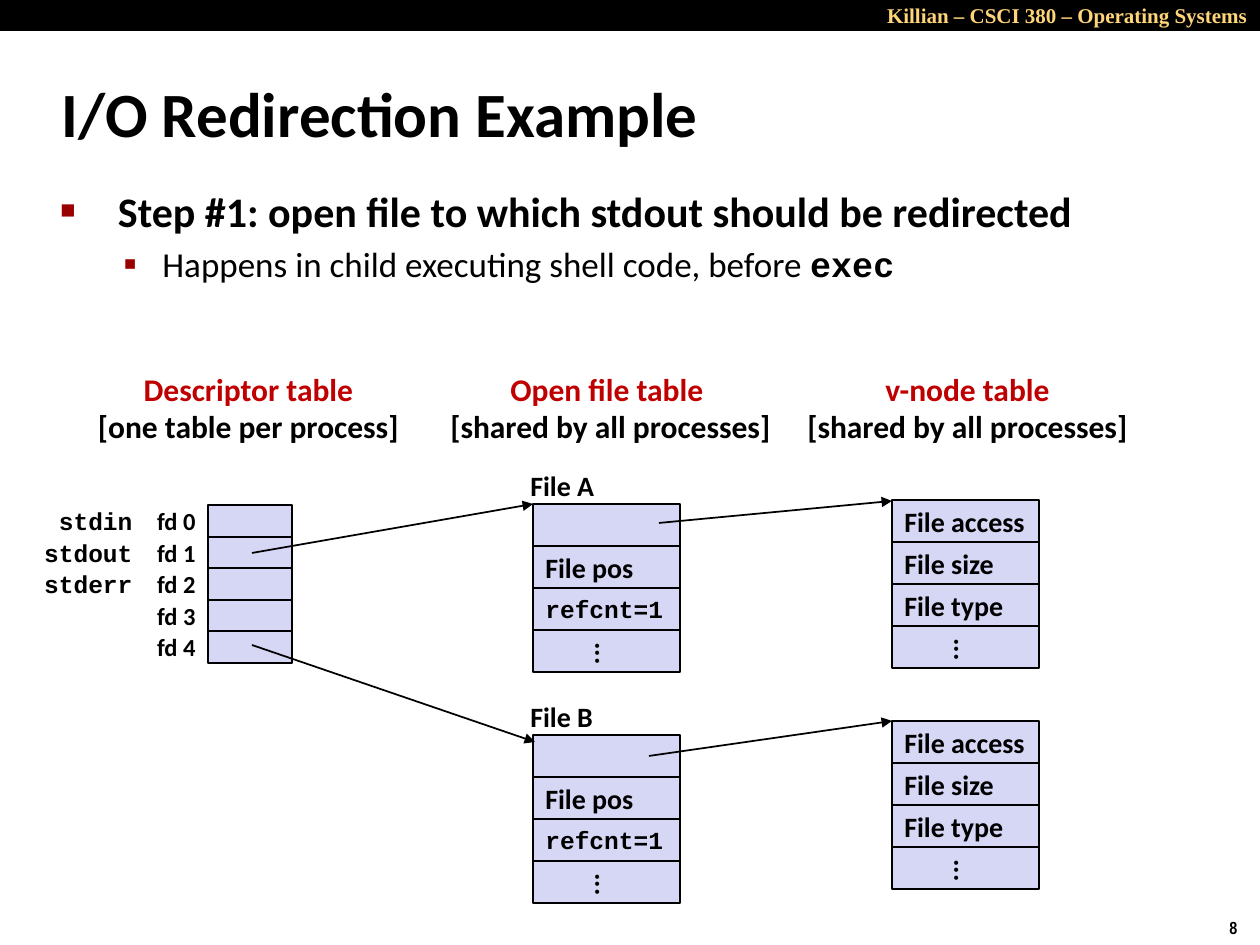
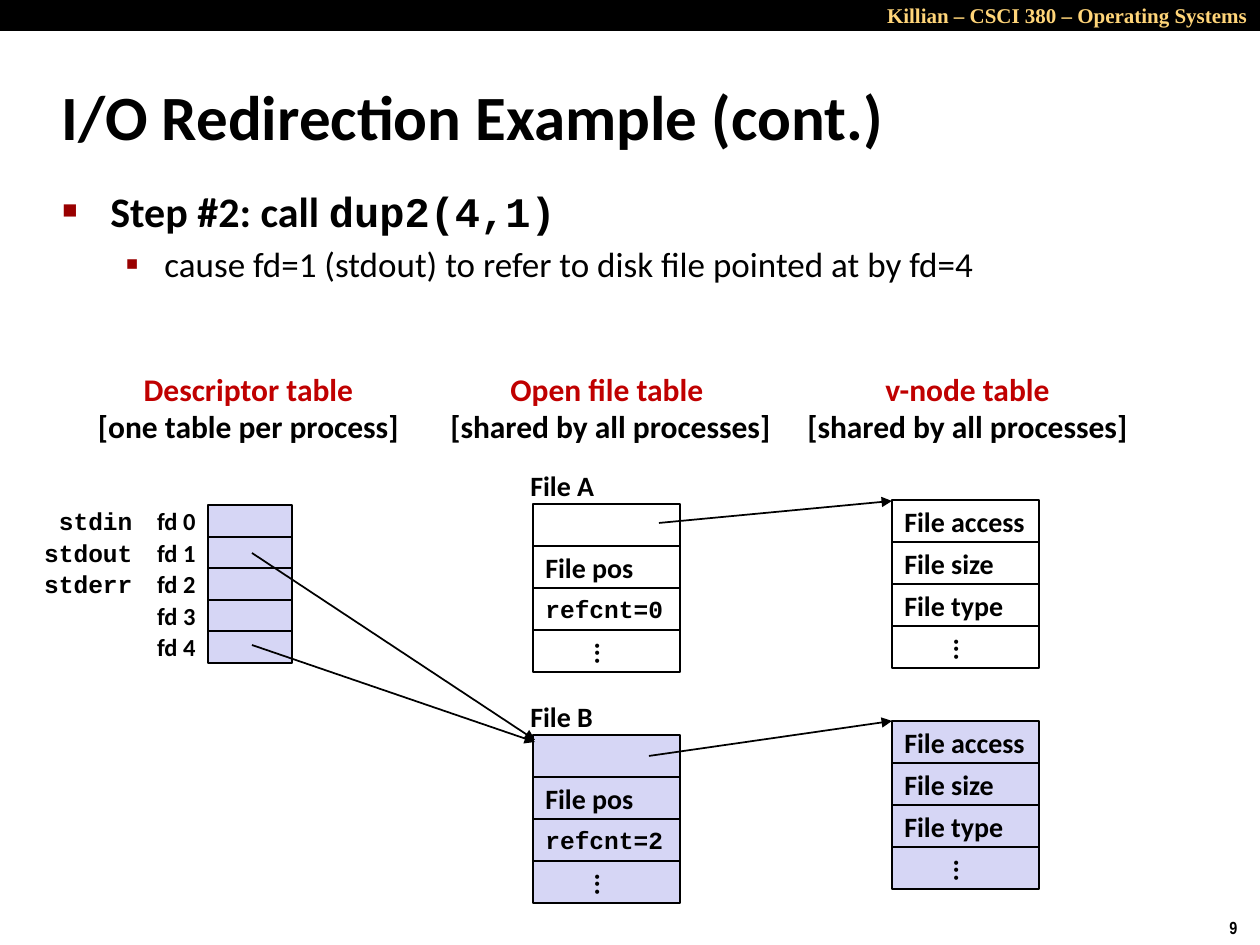
from lxml import etree
from pptx import Presentation
from pptx.dml.color import RGBColor
from pptx.enum.shapes import MSO_CONNECTOR, MSO_SHAPE
from pptx.enum.text import MSO_ANCHOR, PP_ALIGN
from pptx.oxml.ns import qn
from pptx.util import Emu, Pt

PIXEL = 914400 // 126
LEFT, CENTER, RIGHT = PP_ALIGN.LEFT, PP_ALIGN.CENTER, PP_ALIGN.RIGHT
TOP, MIDDLE = MSO_ANCHOR.TOP, MSO_ANCHOR.MIDDLE
RECTANGLE, STRAIGHT = MSO_SHAPE.RECTANGLE, MSO_CONNECTOR.STRAIGHT

BLACK, WHITE, LILAC = "000000", "FFFFFF", "D6D6F5"
RED, BULLET_RED, GOLD = "C00000", "990000", "FFD579"
SANS, MONO, SERIF, NARROW = "Calibri", "Courier New", "Times New Roman", "Arial Narrow"

DOTS = "..."
ROW_HEIGHT = 42
VNODE_ROWS = ["File access", "File size", "File type", DOTS]
HEADINGS = [
    ((84, 363, 329, 89), "Descriptor table", "[one table per process]"),
    ((436, 363, 349, 89), "Open file table ", "[shared by all processes]"),
    ((793, 363, 349, 89), "v-node table", "[shared by all processes]"),
]


def color(value):
    """Turn a hex string into a colour."""
    return RGBColor.from_string(value)


def px(*lengths):
    """Turn pixels into EMU lengths."""
    return [Emu(length * PIXEL) for length in lengths]


def add_span(para, text, size=16, font=SANS, ink=BLACK, bold=True):
    """Append one formatted run to a paragraph."""
    span = para.add_run()
    span.text = text
    span.font.size = Pt(size)
    span.font.name = font
    span.font.bold = bold
    span.font.color.rgb = color(ink)


def set_frame(shape, anchor=MIDDLE, wrap=False):
    """Set anchor and wrapping, and return the text frame."""
    frame = shape.text_frame
    frame.word_wrap = wrap
    frame.vertical_anchor = anchor
    return frame


def add_text(page, box, text, align=LEFT, anchor=MIDDLE, wrap=False, **style):
    """Add a text box with one paragraph and return that paragraph."""
    frame = set_frame(page.shapes.add_textbox(*px(*box)), anchor, wrap)
    para = frame.paragraphs[0]
    para.alignment = align
    add_span(para, text, **style)
    return para


def add_cell(page, box, fill, outlined=True):
    """Add a filled rectangle."""
    cell = page.shapes.add_shape(RECTANGLE, *px(*box))
    cell.shadow.inherit = False
    cell.fill.solid()
    cell.fill.fore_color.rgb = color(fill)
    if outlined:
        cell.line.color.rgb = color(BLACK)
        cell.line.width = Pt(1)
    else:
        cell.line.fill.background()
    return cell


def add_arrow(page, start, end):
    """Draw a thin line with a triangle at its end."""
    arrow = page.shapes.add_connector(STRAIGHT, *px(*start, *end))
    arrow.line.color.rgb = color(BLACK)
    arrow.line.width = Pt(1)
    etree.SubElement(arrow.line._get_or_add_ln(), qn("a:tailEnd"), type="triangle")
    etree.SubElement(arrow._element.spPr, qn("a:effectLst"))


def set_indent(para, margin, hanging):
    """Set the left margin and the hanging first line."""
    props = para._p.get_or_add_pPr()
    props.set("marL", str(margin * PIXEL))
    props.set("indent", str(-hanging * PIXEL))
    return props


def add_bullet(para, mark, percent, size, margin, hanging):
    """Give a paragraph a coloured bullet and a gap above it."""
    para.space_before = Pt(size * 0.2)
    props = set_indent(para, margin, hanging)
    ink = etree.SubElement(props, qn("a:buClr"))
    etree.SubElement(ink, qn("a:srgbClr"), val=BULLET_RED)
    etree.SubElement(props, qn("a:buSzPct"), val=str(percent * 1000))
    etree.SubElement(props, qn("a:buFont"), typeface=SERIF)
    etree.SubElement(props, qn("a:buChar"), char=mark)


def add_banner(page, number):
    """Add the course band and the slide number."""
    add_cell(page, (0, 0, 1260, 31), BLACK, outlined=False)
    add_text(page, (829, -4, 431, 38), "Killian – CSCI 380 – Operating Systems",
             align=RIGHT, anchor=TOP, wrap=True, size=12, font=SERIF, ink=GOLD)
    add_text(page, (1217, 911, 43, 34), str(number), anchor=TOP, size=10, font=NARROW)


def add_title(page, box, text):
    """Add the slide title."""
    set_indent(add_text(page, box, text, wrap=True, size=36), 16, 16)


def add_step(page, box, step, detail):
    """Add the step and its detail; each is a list of (text, font, bold)."""
    frame = set_frame(page.shapes.add_textbox(*px(*box)), TOP, wrap=True)
    levels = [(frame.paragraphs[0], step, 24, ("■", 60, 24, 48, 48)),
              (frame.add_paragraph(), detail, 20, ("▪", 110, 20, 102, 39))]
    for level, (para, spans, size, bullet) in enumerate(levels):
        para.level = level
        add_bullet(para, *bullet)
        for text, font, bold in spans:
            add_span(para, text, size=size, font=font, bold=bold)


def add_headings(page):
    """Name the three tables."""
    for box, name, scope in HEADINGS:
        first = add_text(page, box, name, align=CENTER, size=18, ink=RED)
        second = first._parent.add_paragraph()
        second.alignment = CENTER
        add_span(second, scope, size=18)


def add_descriptors(page, box):
    """Draw the five descriptors, with their numbers and stream names."""
    left, top, width, height = box
    edges = [top + round(height * row / 5) for row in range(6)]
    streams = ["stdin", "stdout", "stderr"]
    for row, (upper, lower) in enumerate(zip(edges, edges[1:])):
        tall = lower - upper
        add_cell(page, (left, upper, width, tall), LILAC)
        add_text(page, (left - 84, upper, 84, tall), f"fd {row}", align=RIGHT, size=14)
        if row < len(streams):
            add_text(page, (left - 193, upper, 130, tall), streams[row],
                     align=RIGHT, size=14, font=MONO)


def add_record(page, box, rows, fill):
    """Draw a stack of labelled cells; dots run downwards."""
    left, top, width = box
    for index, text in enumerate(rows):
        cell = add_cell(page, (left, top + index * ROW_HEIGHT, width, ROW_HEIGHT), fill)
        if not text:
            continue
        frame = set_frame(cell)
        if text == DOTS:
            frame._txBody.bodyPr.set("vert", "eaVert")
        para = frame.paragraphs[0]
        para.alignment = LEFT
        if text.startswith("refcnt"):
            add_span(para, text, size=14, font=MONO)
        else:
            add_span(para, text)


def add_open_file(page, box, name, count, fill):
    """Draw an open file entry with its name above."""
    left, top, _ = box
    add_record(page, box, ["", "File pos", f"refcnt={count}", DOTS], fill)
    add_text(page, (left - 15, top - 42, 89, 47), name)


def add_diagram(page, counts, fill_a, stdout_target):
    """Draw the three tables and the arrows that link them."""
    add_headings(page)
    add_descriptors(page, (208, 505, 84, 158))
    add_open_file(page, (533, 504, 147), "File A", counts[0], fill_a)
    add_open_file(page, (533, 735, 147), "File B", counts[1], LILAC)
    add_record(page, (892, 500, 147), VNODE_ROWS, fill_a)
    add_record(page, (892, 721, 147), VNODE_ROWS, LILAC)
    add_arrow(page, (252, 553), stdout_target)
    add_arrow(page, (252, 645), (535, 742))
    add_arrow(page, (659, 523), (892, 501))
    add_arrow(page, (649, 756), (892, 721))


def add_page(deck, number):
    """Add a blank slide with the shared banner."""
    page = deck.slides.add_slide(deck.slide_layouts[6])
    add_banner(page, number)
    return page


def build_open_page(deck):
    """Step 1: the file is opened."""
    page = add_page(deck, 8)
    add_title(page, (49, 60, 1046, 105), "I/O Redirection Example")
    add_step(page, (48, 179, 1178, 136),
             [(" Step #1: open file to which stdout should be redirected", SANS, True)],
             [("Happens in child executing shell code, before ", SANS, False),
              ("exec", MONO, True)])
    add_diagram(page, (1, 1), LILAC, (533, 504))


def build_dup_page(deck):
    """Step 2: the descriptor is duplicated."""
    page = add_page(deck, 9)
    add_title(page, (49, 63, 1046, 105), "I/O Redirection Example (cont.)")
    add_step(page, (50, 179, 1188, 136),
             [("Step #2: call ", SANS, True), ("dup2(4,1)", MONO, True)],
             [("cause fd=1 (stdout) to refer to disk file pointed at by fd=4", SANS, False)])
    add_diagram(page, (0, 2), WHITE, (535, 740))


def main():
    """Build and save the deck."""
    deck = Presentation()
    deck.slide_width, deck.slide_height = px(1260, 945)
    build_open_page(deck)
    build_dup_page(deck)
    deck.save("out.pptx")


main()
